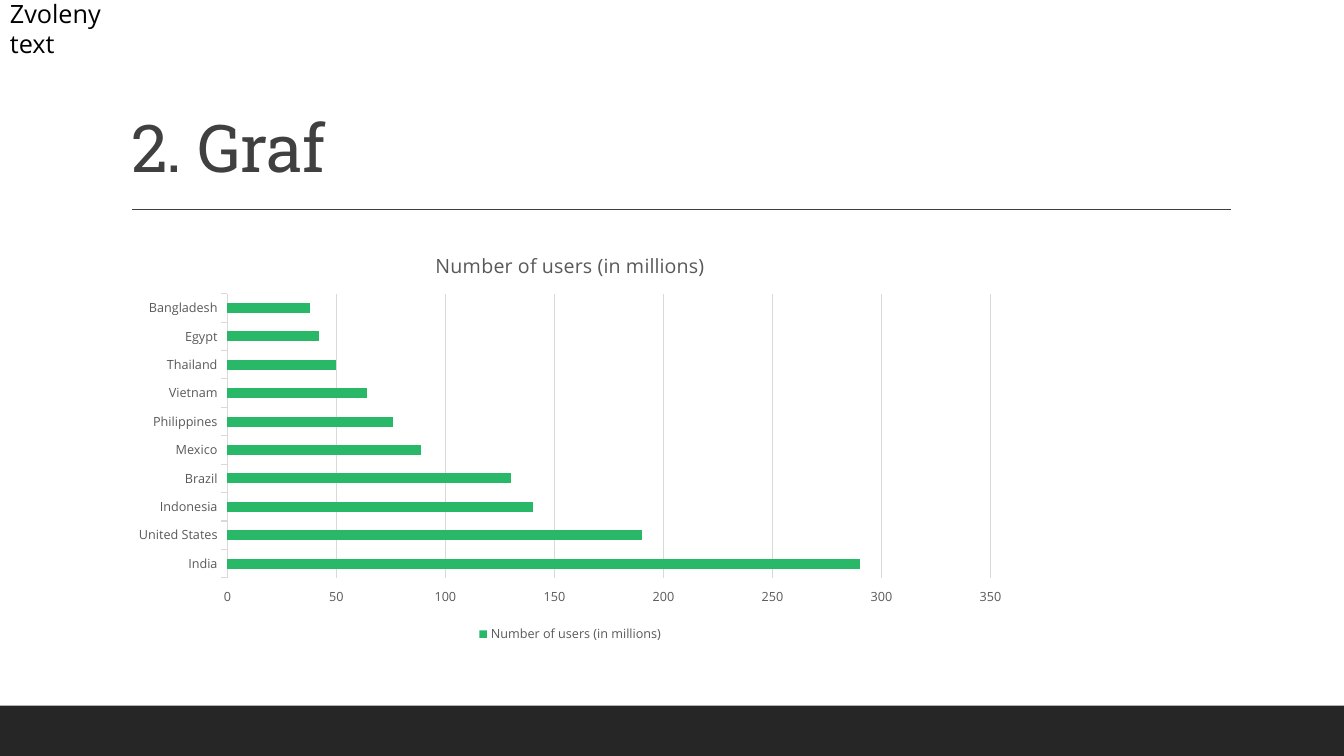
from pptx import Presentation
from pptx.chart.data import CategoryChartData
from pptx.dml.color import RGBColor
from pptx.enum.chart import XL_CHART_TYPE, XL_LEGEND_POSITION, XL_TICK_MARK
from pptx.enum.shapes import MSO_CONNECTOR, MSO_SHAPE
from pptx.enum.text import MSO_ANCHOR, PP_ALIGN
from pptx.oxml.ns import qn
from pptx.util import Inches, Pt
from lxml import etree

BAR_CLUSTERED = XL_CHART_TYPE.BAR_CLUSTERED
LEGEND_BOTTOM = XL_LEGEND_POSITION.BOTTOM
TICK_OUTSIDE = XL_TICK_MARK.OUTSIDE
TICK_NONE = XL_TICK_MARK.NONE
STRAIGHT = MSO_CONNECTOR.STRAIGHT
RECTANGLE = MSO_SHAPE.RECTANGLE
ANCHOR_TOP, ANCHOR_BOTTOM = MSO_ANCHOR.TOP, MSO_ANCHOR.BOTTOM
ALIGN_LEFT = PP_ALIGN.LEFT

BLACK = RGBColor(0x00, 0x00, 0x00)
FOOTER_DARK = RGBColor(0x26, 0x26, 0x26)
TITLE_GRAY = RGBColor(0x40, 0x40, 0x40)
LABEL_GRAY = RGBColor(0x59, 0x59, 0x59)
GRID_GRAY = RGBColor(0xD9, 0xD9, 0xD9)
BAR_GREEN = RGBColor(0x29, 0xB7, 0x68)

BODY_FONT = "Open Sans"
TITLE_FONT = "Roboto Slab"

USERS_LABEL = "Number of users (in millions)"
USERS = {
    "India": 290, "United States": 190, "Indonesia": 140, "Brazil": 130,
    "Mexico": 89, "Philippines": 76, "Vietnam": 64, "Thailand": 50,
    "Egypt": 42, "Bangladesh": 38,
}


def style_font(font, size, color, name=BODY_FONT):
    font.size = Pt(size)
    font.name = name
    font.bold = False
    font.color.rgb = color


def write_text(frame, text, size, color, name=BODY_FONT, anchor=ANCHOR_TOP,
               line_spacing=None, character_spacing=None):
    frame.word_wrap = True
    frame.vertical_anchor = anchor
    paragraph = frame.paragraphs[0]
    paragraph.alignment = ALIGN_LEFT
    paragraph.line_spacing = line_spacing
    run = paragraph.add_run()
    run.text = text
    style_font(run.font, size, color, name)
    if character_spacing is not None:
        run.font._element.set("spc", str(int(character_spacing * 100)))


class SlideBuilder:
    def __init__(self, presentation):
        self.slide = presentation.slides.add_slide(presentation.slide_layouts[5])
        self.shapes = self.slide.shapes

    def bar(self, left, top, width, height, color):
        shape = self.shapes.add_shape(
            RECTANGLE, Inches(left), Inches(top), Inches(width), Inches(height))
        shape.shadow.inherit = False
        shape.fill.solid()
        shape.fill.fore_color.rgb = color
        shape.line.fill.background()

    def rule(self, left, right, top, color, weight):
        connector = self.shapes.add_connector(
            STRAIGHT, Inches(left), Inches(top), Inches(right), Inches(top))
        connector.line.color.rgb = color
        connector.line.width = Pt(weight)
        etree.SubElement(connector._element.spPr, qn("a:effectLst"))

    def label(self, text, left, top, width, height, **text_format):
        box = self.shapes.add_textbox(
            Inches(left), Inches(top), Inches(width), Inches(height))
        write_text(box.text_frame, text, **text_format)

    def title(self, text, left, top, width, height, **text_format):
        title = self.shapes.title
        title.left, title.top = Inches(left), Inches(top)
        title.width, title.height = Inches(width), Inches(height)
        write_text(title.text_frame, text, **text_format)

    def bar_chart(self, name, values, left, top, width, height):
        data = CategoryChartData()
        data.categories = list(values)
        data.add_series(name, list(values.values()))
        chart = self.shapes.add_chart(
            BAR_CLUSTERED, Inches(left), Inches(top),
            Inches(width), Inches(height), data).chart
        style_font(chart.font, 10, BLACK)

        chart.has_title = True
        title_run = chart.chart_title.text_frame.paragraphs[0].add_run()
        title_run.text = name
        style_font(title_run.font, 14, LABEL_GRAY)
        chart.chart_title.include_in_layout = False

        chart.has_legend = True
        chart.legend.position = LEGEND_BOTTOM
        chart.legend.include_in_layout = False
        style_font(chart.legend.font, 9, LABEL_GRAY)

        plot = chart.plots[0]
        plot.gap_width = 182
        plot.vary_by_categories = False
        fill = plot.series[0].format.fill
        fill.solid()
        fill.fore_color.rgb = BAR_GREEN

        for axis in (chart.category_axis, chart.value_axis):
            axis.major_tick_mark = TICK_OUTSIDE
            axis.minor_tick_mark = TICK_NONE
            style_font(axis.tick_labels.font, 9, LABEL_GRAY)
        chart.value_axis.has_major_gridlines = True
        chart.value_axis.format.line.fill.background()
        chart.value_axis.minimum_scale = 0
        chart.value_axis.maximum_scale = 350
        chart.value_axis.major_unit = 50
        for line in (chart.category_axis.format.line,
                     chart.value_axis.major_gridlines.format.line):
            line.color.rgb = GRID_GRAY
            line.width = Pt(0.75)


def main():
    presentation = Presentation()
    presentation.slide_width = Inches(13.33)
    presentation.slide_height = Inches(7.5)
    builder = SlideBuilder(presentation)
    builder.bar(0, 7, 13.33, 0.5, FOOTER_DARK)
    builder.rule(1.31, 12.21, 2.08, TITLE_GRAY, 1)
    builder.label("Zvoleny text", 0, -0.07, 1.45, 0.4, size=18, color=BLACK)
    builder.title("2. Graf", 1.2, 0.31, 11, 1.59, size=47, color=TITLE_GRAY,
                  name=TITLE_FONT, anchor=ANCHOR_BOTTOM, line_spacing=0.9,
                  character_spacing=-0.5)
    builder.bar_chart(USERS_LABEL, USERS, 1.2, 2.31, 8.91, 4.11)
    presentation.save("out.pptx")


if __name__ == "__main__":
    main()
